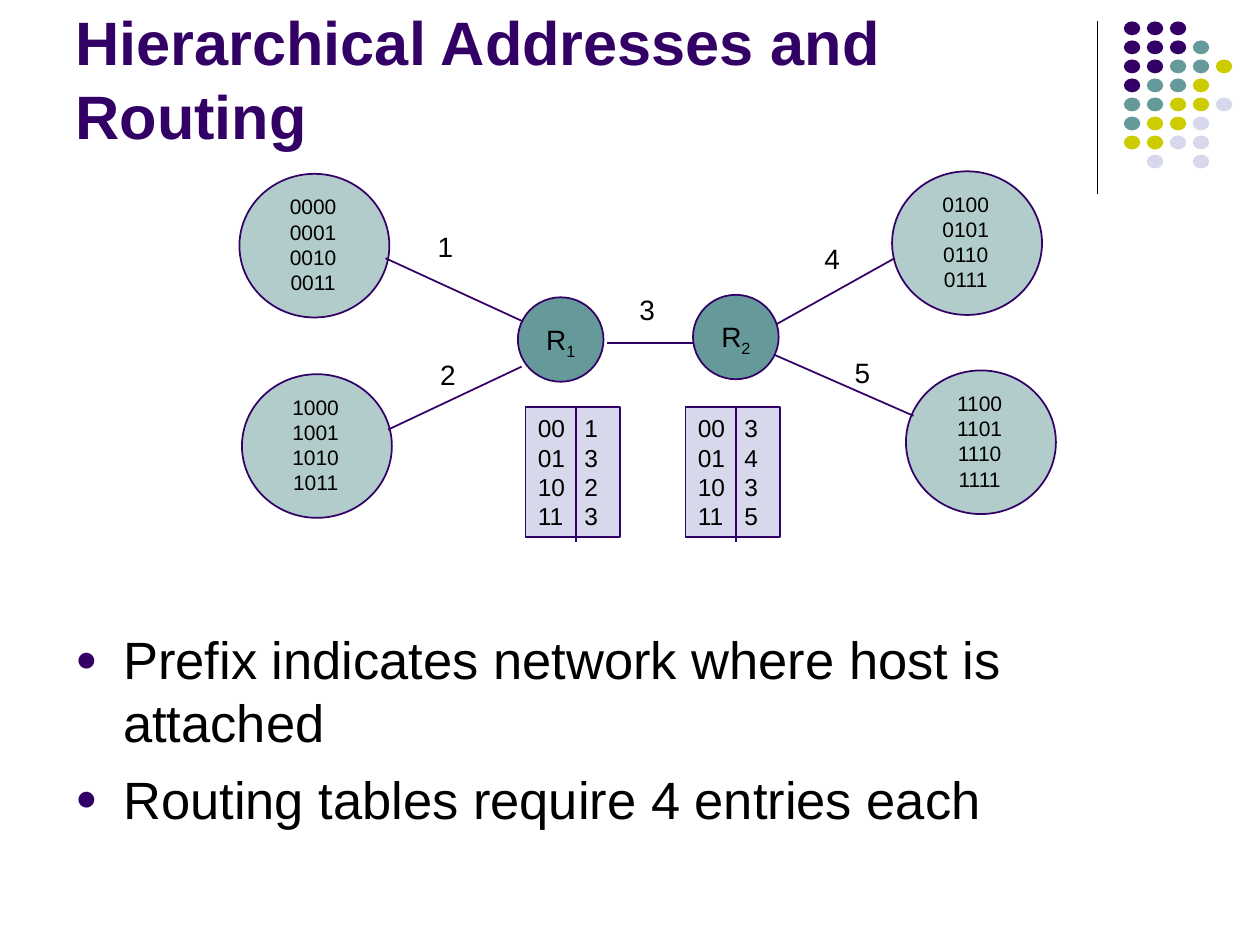
from dataclasses import dataclass

from lxml import etree
from pptx import Presentation
from pptx.dml.color import RGBColor
from pptx.enum import shapes, text
from pptx.oxml import ns
from pptx.util import Inches, Pt

PURPLE = RGBColor(0x33, 0x00, 0x66)
TEAL = RGBColor(0x66, 0x99, 0x99)
PALE_TEAL = RGBColor(0xB1, 0xCC, 0xCB)
OLIVE = RGBColor(0xCC, 0xCC, 0x00)
LAVENDER = RGBColor(0xD8, 0xD8, 0xEC)
BLACK = RGBColor(0, 0, 0)

OVAL = shapes.MSO_SHAPE.OVAL
CENTER = text.PP_ALIGN.CENTER
DOT_COLORS = {"P": PURPLE, "T": TEAL, "O": OLIVE, "L": LAVENDER}
DOT_ROWS = ("PPP", "PPPT", "PPTTO", "PTTO", "TTOOL", "TOOL", "OOLL", " L L")


@dataclass
class Network:
    left: float
    top: float
    prefix: str


@dataclass
class Router:
    left: float
    top: float
    number: str
    table_left: float
    ports: str


@dataclass
class Link:
    start: tuple[float, float]
    end: tuple[float, float]
    number: str
    label_at: tuple[float, float]


NETWORKS = (
    Network(1.9, 1.38, "00"),
    Network(7.08, 1.36, "01"),
    Network(7.19, 2.94, "11"),
    Network(1.92, 2.97, "10"),
)
LINKS = (
    Link((3.06, 2.05), (4.17, 2.56), "1", (3.29, 1.77)),
    Link((4.14, 2.91), (3.08, 3.41), "2", (3.31, 2.79)),
    Link((4.82, 2.72), (5.51, 2.72), "3", (4.89, 2.27)),
    Link((6.15, 2.58), (7.1, 2.05), "4", (6.36, 1.87)),
    Link((6.11, 2.8), (7.25, 3.3), "5", (6.6, 2.77)),
)
ROUTERS = (
    Router(4.11, 2.36, "1", 4.17, "1323"),
    Router(5.5, 2.34, "2", 5.44, "3435"),
)
SUFFIXES = ("00", "01", "10", "11")


def add_line(slide, start, end, color=PURPLE, width: float = 1) -> None:
    line = slide.shapes.add_connector(
        shapes.MSO_CONNECTOR.STRAIGHT, *map(Inches, start + end))
    line.line.color.rgb = color
    line.line.width = Pt(width)
    etree.SubElement(line._element.spPr, ns.qn("a:effectLst"))


def add_shape(slide, kind, box, fill: RGBColor, outlined: bool = True):
    shape = slide.shapes.add_shape(kind, *map(Inches, box))
    shape.shadow.inherit = False
    shape.fill.solid()
    shape.fill.fore_color.rgb = fill
    if outlined:
        shape.line.color.rgb = PURPLE
        shape.line.width = Pt(1)
    else:
        shape.line.fill.background()
    return shape


def add_text_box(slide, box):
    frame = slide.shapes.add_textbox(*map(Inches, box)).text_frame
    frame.word_wrap = True
    return frame


def write(frame, lines, size: float, align=text.PP_ALIGN.LEFT,
          color: RGBColor = BLACK, bold: bool = False) -> None:
    """Fill a text frame with one paragraph per line."""
    font_values = {"name": "Arial", "size": Pt(size), "bold": bold}
    for index, line in enumerate(lines):
        paragraph = frame.add_paragraph() if index else frame.paragraphs[0]
        paragraph.alignment = align
        run = paragraph.add_run()
        run.text = line
        for key, value in font_values.items():
            setattr(run.font, key, value)
        run.font.color.rgb = color


def add_properties(paragraph, *elements: str) -> None:
    """Append DrawingML elements to the paragraph properties."""
    for element in elements:
        paragraph._p.get_or_add_pPr().append(
            etree.fromstring(element.replace("/>", f' xmlns:a="{ns.nsuri("a")}"/>', 1)
                             if element.endswith("/>") and element.count("<") == 1
                             else element.replace(">", f' xmlns:a="{ns.nsuri("a")}">', 1)))


def draw_dots(slide) -> None:
    for row, codes in enumerate(DOT_ROWS):
        for column, code in enumerate(codes):
            if code in DOT_COLORS:
                box = (8.92 + 0.1825 * column, 0.17 + 0.151 * row, 0.13, 0.11)
                add_shape(slide, OVAL, box, DOT_COLORS[code], outlined=False)


def draw_network(slide, network: Network) -> None:
    add_shape(slide, OVAL, (network.left, network.top, 1.19, 1.14), PALE_TEAL)
    frame = add_text_box(
        slide, (network.left + 0.23, network.top + 0.11, 0.71, 0.9))
    write(frame, [network.prefix + suffix for suffix in SUFFIXES], 12, CENTER)


def draw_link(slide, link: Link) -> None:
    add_line(slide, link.start, link.end)
    frame = add_text_box(slide, (*link.label_at, 0.49, 0.36))
    write(frame, [link.number], 16, CENTER)


def draw_router(slide, router: Router) -> None:
    add_shape(slide, OVAL, (router.left, router.top, 0.68, 0.67), TEAL)
    frame = add_text_box(slide, (router.left, router.top + 0.15, 0.68, 0.4))
    write(frame, ["R"], 16, CENTER)
    subscript = frame.paragraphs[0].add_run()
    subscript.text = router.number
    for key, value in {"name": "Arial", "size": Pt(16)}.items():
        setattr(subscript.font, key, value)
    subscript.font.color.rgb = BLACK
    subscript.font._element.set("baseline", "-25000")


def draw_routing_table(slide, router: Router) -> None:
    left, top = router.table_left, 3.23
    frame = add_shape(slide, shapes.MSO_SHAPE.RECTANGLE,
                      (left, top, 0.75, 1.03), LAVENDER).text_frame
    frame.vertical_anchor = text.MSO_ANCHOR.TOP
    write(frame, [f"{prefix}\t{port}"
                  for prefix, port in zip(SUFFIXES, router.ports)], 14)
    for paragraph in frame.paragraphs:
        add_properties(paragraph, f'<a:tabLst><a:tab pos="{Inches(0.37)}" algn="l"/></a:tabLst>')
    add_line(slide, (left + 0.4, top + 0.01), (left + 0.4, top + 1.07))


def draw_bullets(slide, lines) -> None:
    frame = add_text_box(slide, (0.5, 4.93, 9, 2.02))
    write(frame, lines, 30)
    for index, paragraph in enumerate(frame.paragraphs):
        paragraph.space_before = Pt(7.5 if index else 0)
        properties = paragraph._p.get_or_add_pPr()
        properties.set("marL", str(Inches(0.38)))
        properties.set("indent", str(-Inches(0.38)))
        add_properties(
            paragraph,
            f'<a:buClr><a:srgbClr val="{PURPLE}"/></a:buClr>',
            '<a:buSzPct val="70000"/>',
            '<a:buFont typeface="Arial"/>',
            '<a:buChar char="●"/>')


def main() -> None:
    deck = Presentation()
    deck.slide_width, deck.slide_height = Inches(10), Inches(7.5)
    slide = deck.slides.add_slide(deck.slide_layouts[6])

    add_line(slide, (8.71, 0.17), (8.71, 1.54), BLACK, 0.75)
    draw_dots(slide)
    for network in NETWORKS:
        draw_network(slide, network)
    for link in LINKS:
        draw_link(slide, link)
    for router in ROUTERS:
        draw_router(slide, router)
        draw_routing_table(slide, router)

    title = add_text_box(slide, (0.5, 0.13, 8.25, 1.12))
    title.vertical_anchor = text.MSO_ANCHOR.BOTTOM
    write(title, ["Hierarchical Addresses and Routing"], 35, color=PURPLE, bold=True)
    draw_bullets(slide, ["Prefix indicates network where host is attached",
                         "Routing tables require 4 entries each"])
    deck.save("out.pptx")


if __name__ == "__main__":
    main()
